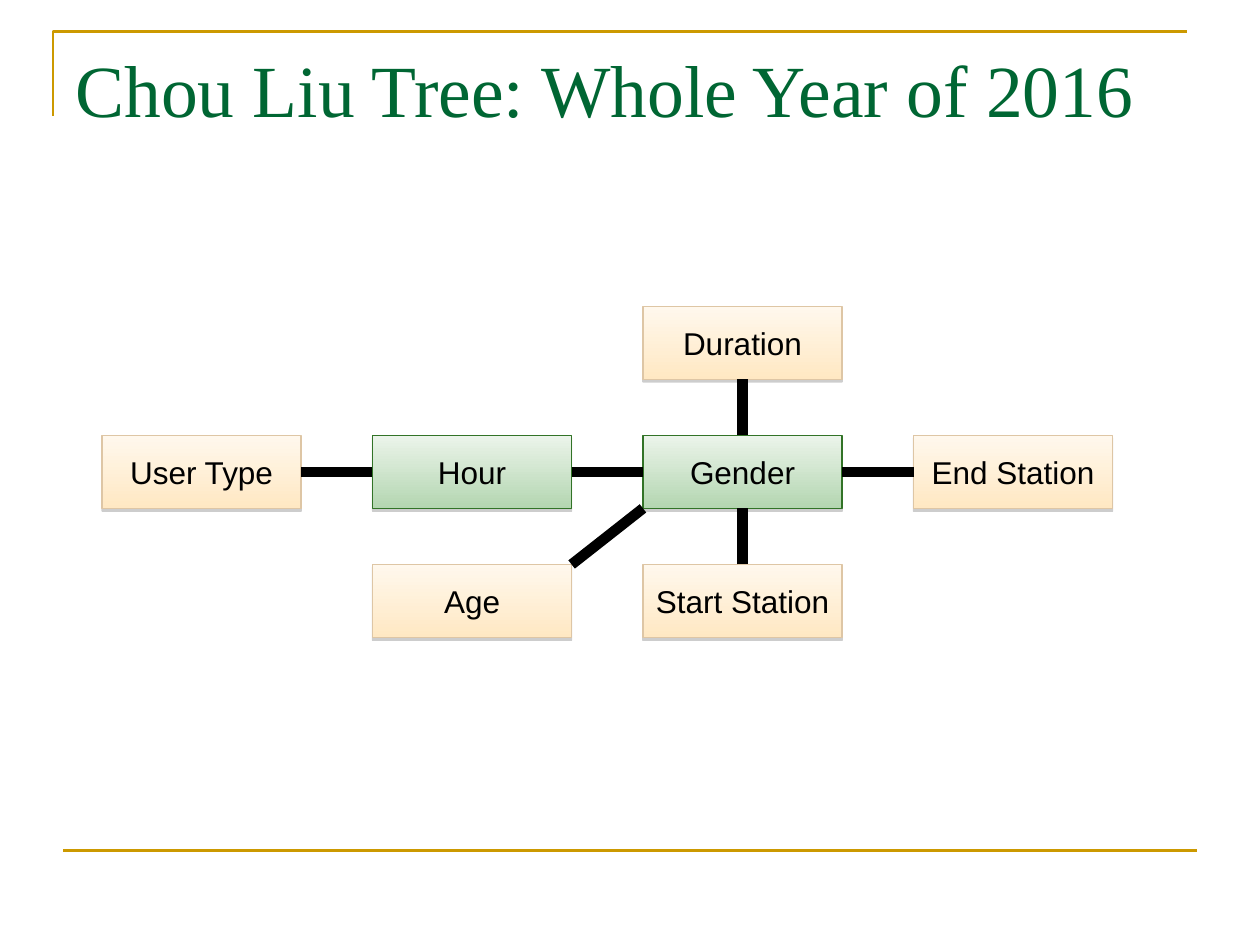
from lxml import etree
from pptx import Presentation
from pptx import util as u
from pptx.dml.color import RGBColor
from pptx.enum import shapes as s
from pptx.enum import text as t
from pptx.oxml import parse_xml
from pptx.oxml.ns import nsdecls, qn

COLORS = {
    "rule": "CC9900",
    "title": "006633",
    "ink": "000000",
    "shadow": "808080",
}
LEAF = {"top": "FFF8ED", "bottom": "FFE8C3", "line": "DEC6A5"}
HUB = {"top": "EBF4EA", "bottom": "B4D6B1", "line": "327327"}

NODES = {
    "Duration": (2, 0, LEAF),
    "Start Station": (2, 2, LEAF),
    "Age": (1, 2, LEAF),
    "End Station": (3, 1, LEAF),
    "Gender": (2, 1, HUB),
    "Hour": (1, 1, HUB),
    "User Type": (0, 1, LEAF),
}
TOP, LEFT, BOTTOM, RIGHT = range(4)
EDGES = [
    ("User Type", RIGHT, "Hour", LEFT),
    ("Hour", RIGHT, "Gender", LEFT),
    ("Gender", RIGHT, "End Station", LEFT),
    ("Start Station", TOP, "Gender", BOTTOM),
    ("Gender", TOP, "Duration", BOTTOM),
]


def rgb(value):
    return RGBColor.from_string(value)


def write_text(shape, content, *, size, font, color, align, anchor, wrap):
    frame = shape.text_frame
    frame.word_wrap = wrap
    frame.vertical_anchor = anchor
    paragraph = frame.paragraphs[0]
    paragraph.alignment = align
    run = paragraph.add_run()
    run.text = content
    run.font.size = u.Pt(size)
    run.font.name = font
    run.font.color.rgb = rgb(color)


def add_line(shapes, begin, end, color, width):
    line = shapes.add_connector(s.MSO_CONNECTOR.STRAIGHT, *begin, *end)
    line.line.color.rgb = rgb(color)
    line.line.width = u.Pt(width)
    etree.SubElement(line._element.spPr, qn("a:effectLst"))
    return line


def add_frame(slide, left, top, width, height):
    builder = slide.shapes.build_freeform(left, top + height)
    builder.add_line_segments([(left, top), (left + width, top)], close=False)
    corner = builder.convert_to_shape()
    corner.shadow.inherit = False
    corner.fill.background()
    corner.line.color.rgb = rgb(COLORS["rule"])
    corner.line.width = u.Pt(1.5)


def add_footer_rule(slide, left, top, width):
    add_line(slide.shapes, (left, top), (left + width, top), COLORS["rule"], 1.5)


def add_title(slide, left, top, width, height):
    title = slide.shapes.add_textbox(left, top, width, height)
    write_text(title, "Chou Liu Tree: Whole Year of 2016", size=42,
               font="Times New Roman", color=COLORS["title"],
               align=t.PP_ALIGN.LEFT, anchor=t.MSO_ANCHOR.TOP, wrap=True)


def add_drop_shadow(shape):
    shape.shadow.inherit = False
    effects = shape._element.spPr.find(qn("a:effectLst"))
    effects.append(parse_xml(
        f'<a:outerShdw {nsdecls("a")} blurRad="0" dist="{u.Pt(1.6)}" '
        f'dir="5400000" rotWithShape="0"><a:srgbClr val="{COLORS["shadow"]}">'
        '<a:alpha val="38000"/></a:srgbClr></a:outerShdw>'))


def add_node(shapes, label, palette, left, top, width, height):
    node = shapes.add_shape(s.MSO_SHAPE.RECTANGLE, left, top, width, height)
    node.fill.gradient()
    node.fill.gradient_angle = 270
    for stop, position, name in zip(node.fill.gradient_stops, (0, 1), ("top", "bottom")):
        stop.position = position
        stop.color.rgb = rgb(palette[name])
    node.line.color.rgb = rgb(palette["line"])
    node.line.width = u.Pt(0.75)
    add_drop_shadow(node)
    write_text(node, label, size=18, font="Arial", color=COLORS["ink"],
               align=t.PP_ALIGN.CENTER, anchor=t.MSO_ANCHOR.MIDDLE, wrap=False)
    return node


def side_point(node, side):
    across, down = ((0.5, 0), (0, 0.5), (0.5, 1), (1, 0.5))[side]
    return int(node.left + across * node.width), int(node.top + down * node.height)


def add_tree(slide, left, top, width, height):
    shapes = slide.shapes.add_group_shape().shapes
    node_width, node_height = u.Inches(1.58), u.Inches(0.58)
    column_step = (width - node_width) / 3
    row_step = (height - node_height) / 2
    nodes = {
        label: add_node(shapes, label, palette, int(left + column * column_step),
                        int(top + row * row_step), node_width, node_height)
        for label, (column, row, palette) in NODES.items()
    }
    for start, start_side, finish, finish_side in EDGES:
        edge = add_line(shapes, side_point(nodes[start], start_side),
                        side_point(nodes[finish], finish_side), COLORS["ink"], 6)
        edge.begin_connect(nodes[start], start_side)
        edge.end_connect(nodes[finish], finish_side)
    age, gender = nodes["Age"], nodes["Gender"]
    add_line(shapes, (age.left + age.width, age.top),
             (gender.left, gender.top + gender.height), COLORS["ink"], 6)


def main():
    presentation = Presentation()
    presentation.slide_width = u.Inches(10)
    presentation.slide_height = u.Inches(7.5)
    slide = presentation.slides.add_slide(presentation.slide_layouts[6])
    add_frame(slide, u.Inches(0.42), u.Inches(0.25), u.Inches(9), u.Inches(0.67))
    add_footer_rule(slide, u.Inches(0.5), u.Inches(6.75), u.Inches(9))
    add_tree(slide, u.Inches(0.81), u.Inches(2.43), u.Inches(8.02), u.Inches(2.63))
    add_title(slide, u.Inches(0.5), u.Inches(0.3), u.Inches(9), u.Inches(1.25))
    presentation.save("out.pptx")


if __name__ == "__main__":
    main()
